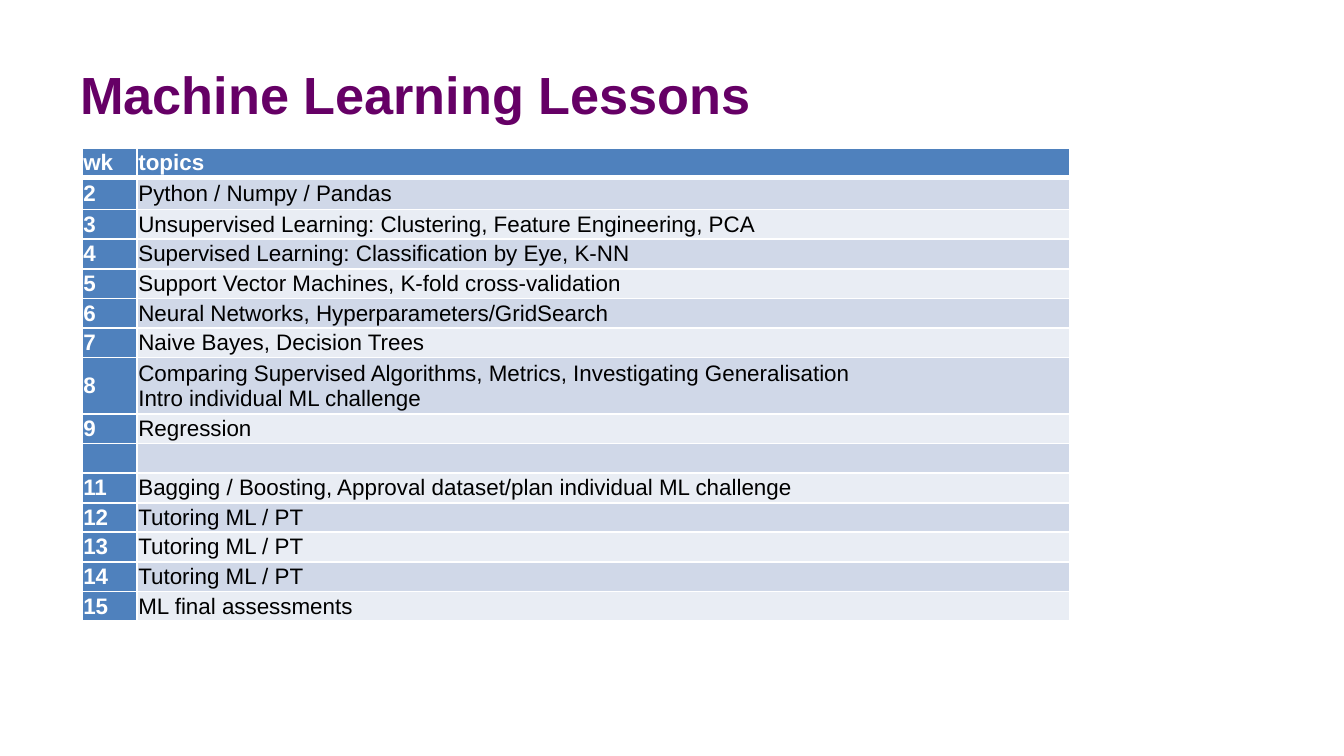
import pptx
import pptx.util
import pptx.dml.color
import pptx.enum.text
import pptx.oxml.ns
import lxml.etree

PURPLE, BLUE, WHITE, BLACK = "660066", "4F81BD", "FFFFFF", "000000"
BANDS = ["D0D8E8", "E9EDF4"]
FONT = "Arial"
TOPIC_SIZE = 12
ROW = 0.2  # height of a one-line row, in inches

lessons = [
    ("wk", "topics"),
    ("2", "Python / Numpy / Pandas"),
    ("3", "Unsupervised Learning: Clustering, Feature Engineering, PCA"),
    ("4", "Supervised Learning: Classification by Eye, K-NN"),
    ("5", "Support Vector Machines, K-fold cross-validation"),
    ("6", "Neural Networks, Hyperparameters/GridSearch"),
    ("7", "Naive Bayes, Decision Trees"),
    ("8", "Comparing Supervised Algorithms, Metrics, Investigating Generalisation"
          "\vIntro individual ML challenge"),
    ("9", "Regression"),
    ("", ""),
    ("11", "Bagging / Boosting, Approval dataset/plan individual ML challenge"),
    ("12", "Tutoring ML / PT"),
    ("13", "Tutoring ML / PT"),
    ("14", "Tutoring ML / PT"),
    ("15", "ML final assessments"),
]
row_heights = [ROW] * len(lessons)
row_heights[1] = 1.2 * ROW
row_heights[7] = 1.9 * ROW


def style_text(paragraph, size, color, bold):
    for run in paragraph.runs:
        run.font.name = FONT
        run.font.size = pptx.util.Pt(size)
        run.font.bold = bold
        run.font.color.rgb = pptx.dml.color.RGBColor.from_string(color)


def add_border(cell, side, points):
    properties = cell._tc.get_or_add_tcPr()
    line = lxml.etree.SubElement(properties, pptx.oxml.ns.qn("a:ln" + side),
                                 w=str(pptx.util.Pt(points)))
    fill = lxml.etree.SubElement(line, pptx.oxml.ns.qn("a:solidFill"))
    lxml.etree.SubElement(fill, pptx.oxml.ns.qn("a:srgbClr"), val=WHITE)


deck = pptx.Presentation()
deck.slide_width = pptx.util.Inches(10)
deck.slide_height = deck.slide_width * 9 // 16
slide = deck.slides.add_slide(deck.slide_layouts[6])

# Title
title = slide.shapes.add_textbox(
    int(deck.slide_width * 0.05), pptx.util.Inches(0.23),
    int(deck.slide_width * 0.9), pptx.util.Inches(0.94))
title.text_frame.word_wrap = True
title.text_frame.vertical_anchor = pptx.enum.text.MSO_ANCHOR.MIDDLE
title.text_frame.text = "Machine Learning Lessons"
style_text(title.text_frame.paragraphs[0], 28, PURPLE, True)

# Timetable grid
timetable = slide.shapes.add_table(
    len(lessons), 2, pptx.util.Inches(0.61), pptx.util.Inches(1.1),
    pptx.util.Inches(7.35), pptx.util.Inches(sum(row_heights))).table
for column, width in zip(timetable.columns, [0.41, 6.94]):
    column.width = pptx.util.Inches(width)
for row, height in zip(timetable.rows, row_heights):
    row.height = pptx.util.Inches(height)

# Weeks and topics
for week, lesson in enumerate(lessons):
    for part, wording in enumerate(lesson):
        cell = timetable.cell(week, part)
        heading = week == 0 or part == 0
        cell.margin_left = cell.margin_right = pptx.util.Inches(0.01)
        cell.margin_top = cell.margin_bottom = pptx.util.Inches(0.01)
        cell.vertical_anchor = pptx.enum.text.MSO_ANCHOR.MIDDLE

        # The rule under the header row is thicker than the rest
        add_border(cell, "L", 1)
        add_border(cell, "R", 1)
        add_border(cell, "T", 3 if week == 1 else 1)
        add_border(cell, "B", 3 if week == 0 else 1)
        cell.fill.solid()
        cell.fill.fore_color.rgb = pptx.dml.color.RGBColor.from_string(
            BLUE if heading else BANDS[(week - 1) % 2])

        if wording:
            cell.text_frame.text = wording
            style_text(cell.text_frame.paragraphs[0], TOPIC_SIZE,
                       WHITE if heading else BLACK, heading)
        else:
            # Keeps the empty week as low as the other rows
            ending = lxml.etree.SubElement(
                cell.text_frame.paragraphs[0]._p,
                pptx.oxml.ns.qn("a:endParaRPr"), sz=str(TOPIC_SIZE * 100))
            lxml.etree.SubElement(ending, pptx.oxml.ns.qn("a:latin"), typeface=FONT)

deck.save("out.pptx")
